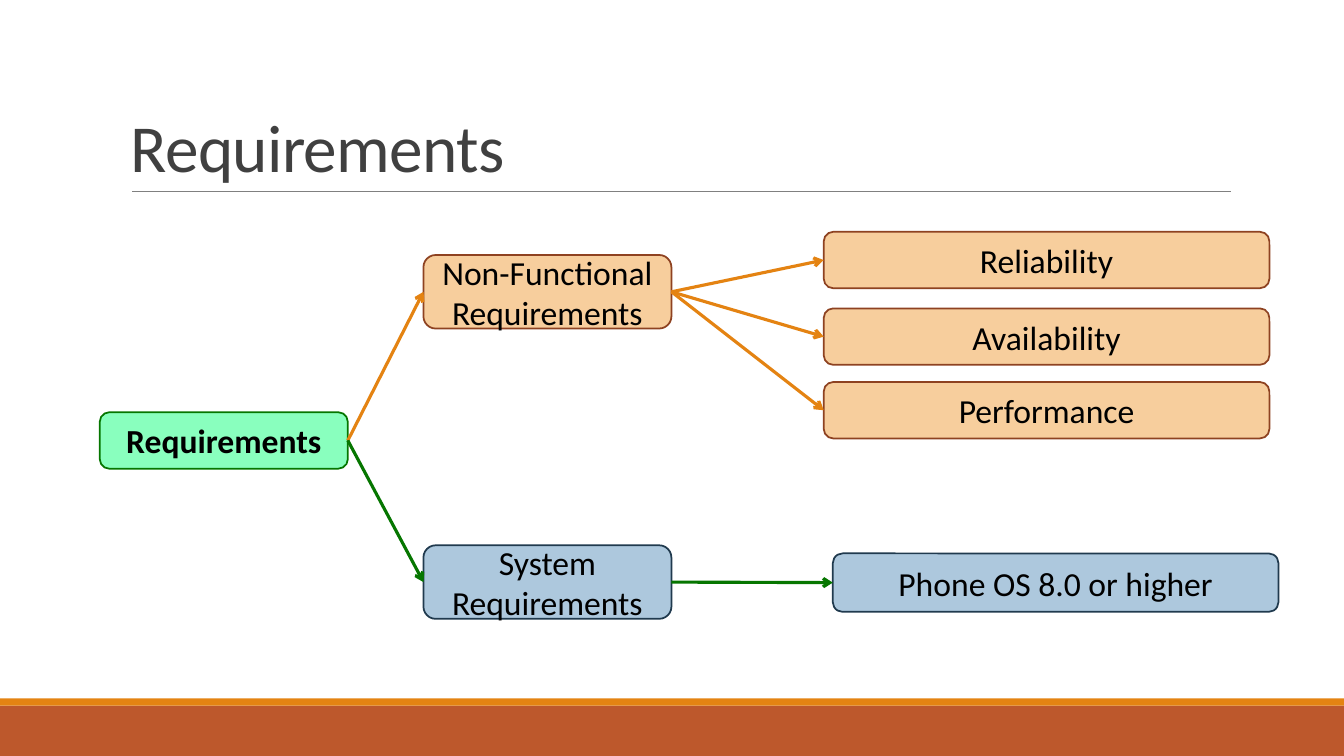
from lxml.etree import SubElement
from pptx import Presentation
from pptx.dml.color import RGBColor
from pptx.enum.shapes import MSO_CONNECTOR as Connector, MSO_SHAPE as Shape
from pptx.enum.text import MSO_ANCHOR as Anchor, PP_ALIGN as Align
from pptx.oxml.ns import qn
from pptx.util import Inches, Pt

BLACK = RGBColor(0x00, 0x00, 0x00)
CHARCOAL = RGBColor(0x40, 0x40, 0x40)
GRAY = RGBColor(0x80, 0x80, 0x80)
RUST = RGBColor(0xBD, 0x58, 0x2C)
ORANGE = RGBColor(0xE4, 0x83, 0x12)
PEACH = RGBColor(0xF7, 0xCE, 0x9D)
BROWN = RGBColor(0x8E, 0x42, 0x21)
MINT = RGBColor(0x89, 0xFF, 0xBE)
GREEN = RGBColor(0x06, 0x76, 0x00)
LIGHT_BLUE = RGBColor(0xAD, 0xC8, 0xDD)
NAVY = RGBColor(0x20, 0x3A, 0x4E)

LEFT_SITE, RIGHT_SITE = 1, 3


class RequirementsMap:
    font_name = "Calibri"

    def __init__(self, slide):
        self.slide = slide

    def band(self, top, height, color):
        strip = self.slide.shapes.add_shape(
            Shape.RECTANGLE, 0, Inches(top), Inches(13.33), Inches(height))
        strip.shadow.inherit = False
        strip.fill.solid()
        strip.fill.fore_color.rgb = color
        strip.line.fill.background()

    def line(self, start, end, color, width):
        connector = self.slide.shapes.add_connector(
            Connector.STRAIGHT, *map(Inches, start + end))
        connector.line.color.rgb = color
        connector.line.width = Pt(width)
        SubElement(connector.element.spPr, qn("a:effectLst"))
        return connector

    def arrow(self, source, target, color):
        connector = self.line((0, 0), (1, 1), color, 2.25)
        connector.begin_connect(source, RIGHT_SITE)
        connector.end_connect(target, LEFT_SITE)
        outline = connector.element.spPr.find(qn("a:ln"))
        SubElement(outline, qn("a:tailEnd"), type="arrow")

    def style_text(self, paragraph, size, color, bold=False):
        font = paragraph.runs[0].font
        font.name = self.font_name
        font.size = Pt(size)
        font.color.rgb = color
        font.bold = bold

    def title(self, text, left, top, width, height):
        heading = self.slide.shapes.add_textbox(
            *map(Inches, (left, top, width, height)))
        frame = heading.text_frame
        frame.word_wrap = True
        frame.vertical_anchor = Anchor.BOTTOM
        frame.text = text
        paragraph = frame.paragraphs[0]
        paragraph.line_spacing = 0.85
        self.style_text(paragraph, 48, CHARCOAL)
        paragraph.runs[0]._r.get_or_add_rPr().set("spc", "-50")

    def node(self, text, left, top, width, height, colors, bold=False):
        box = self.slide.shapes.add_shape(
            Shape.ROUNDED_RECTANGLE, *map(Inches, (left, top, width, height)))
        box.shadow.inherit = False
        fill, outline = colors
        box.fill.solid()
        box.fill.fore_color.rgb = fill
        box.line.color.rgb = outline
        box.line.width = Pt(1.25)
        frame = box.text_frame
        frame.word_wrap = True
        frame.vertical_anchor = Anchor.MIDDLE
        frame.text = text
        paragraph = frame.paragraphs[0]
        paragraph.alignment = Align.CENTER
        self.style_text(paragraph, 24, BLACK, bold)
        return box


def main():
    deck = Presentation()
    deck.slide_width = Inches(13.33)
    deck.slide_height = Inches(7.5)
    chart = RequirementsMap(deck.slides.add_slide(deck.slide_layouts[6]))

    chart.band(7, 0.5, RUST)
    chart.band(6.93, 0.07, ORANGE)
    chart.line((1.31, 1.9), (12.21, 1.9), GRAY, 0.5)
    chart.title("Requirements", 1.2, 0.31, 11, 1.59)

    root = chart.node("Requirements", 0.99, 4.09, 2.46, 0.56, (MINT, GREEN), bold=True)
    branches = [
        ("Non-Functional Requirements", 2.53, (PEACH, BROWN), ORANGE, 8.17, 0.56,
         [("Reliability", 2.3), ("Availability", 3.06), ("Performance", 3.79)]),
        ("System Requirements", 5.41, (LIGHT_BLUE, NAVY), GREEN, 8.26, 0.58,
         [("Phone OS 8.0 or higher", 5.49)]),
    ]
    for category, top, colors, arrow_color, leaf_left, leaf_height, leaves in branches:
        branch = chart.node(category, 4.2, top, 2.46, 0.73, colors)
        chart.arrow(root, branch, arrow_color)
        for requirement, leaf_top in leaves:
            leaf = chart.node(requirement, leaf_left, leaf_top, 4.42, leaf_height, colors)
            chart.arrow(branch, leaf, arrow_color)

    deck.save("out.pptx")


if __name__ == "__main__":
    main()
